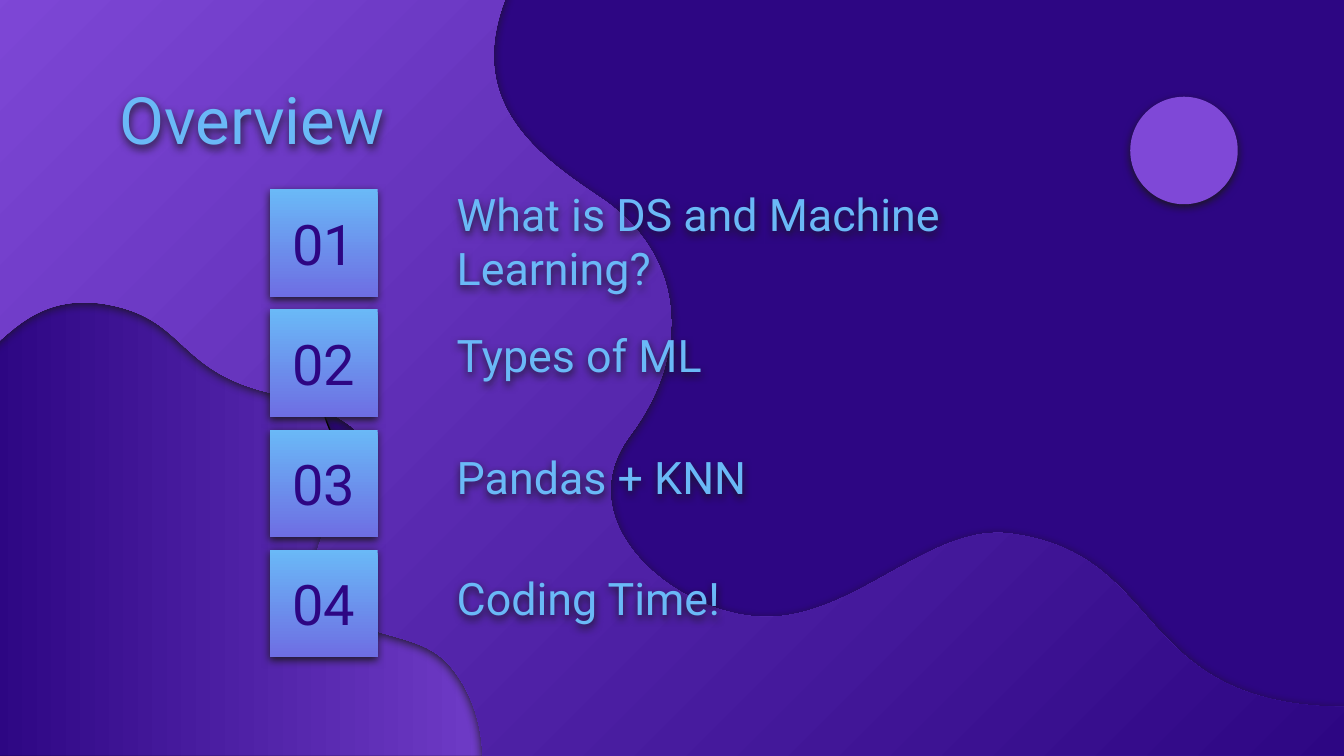
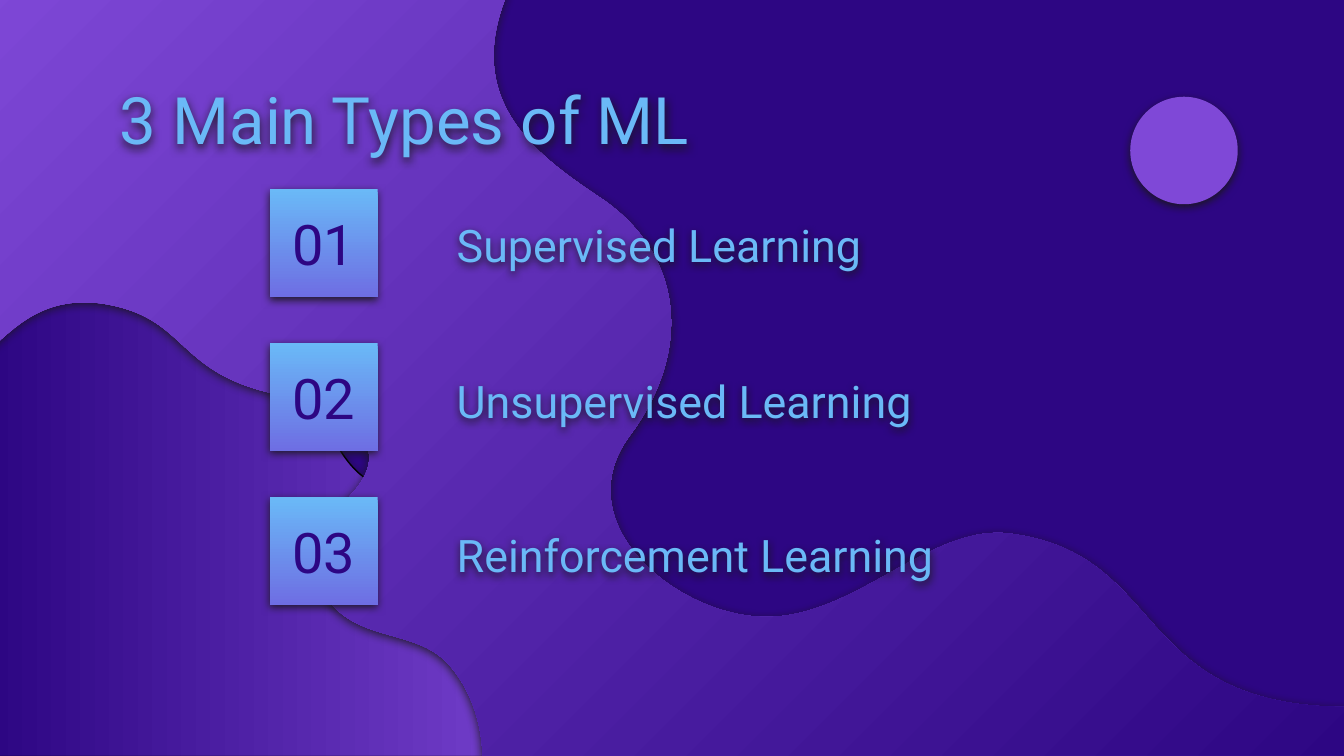
from dataclasses import dataclass

from lxml.etree import SubElement
from pptx import Presentation
from pptx.dml.color import RGBColor
from pptx.enum.shapes import MSO_SHAPE
from pptx.enum.text import MSO_ANCHOR, MSO_AUTO_SIZE, PP_ALIGN
from pptx.oxml.ns import qn
from pptx.util import Inches, Pt


# Colours, type sizes and effects
@dataclass(frozen=True)
class Theme:
    night: str = "2D0683"
    violet: str = "7F48D7"
    sky: str = "6AB9F7"
    iris: str = "6E6EE3"
    shadow: str = "191919"
    outline: str = "000000"
    font: str = "Roboto"
    title_size: int = 35
    number_size: int = 30
    label_size: int = 24
    shadow_blur: float = 4.5
    shadow_distance: float = 1.5


# The grid has 1000 columns across the slide; rows are as tall as columns are wide
COLUMNS = 1000
PADDING = 10
TITLE_BOX = (79, 49, 843, 63)
CIRCLE_BOX = (841, 72, 80, 80)
NUMBER_LEFT, NUMBER_SIDE, FIRST_TOP = 201, 80, 141
LABEL_LEFT, LABEL_WIDTH, LABEL_HEIGHT = 330, 470, 43

# Wave outlines: two values make a line, six make a Bézier curve
LEFT_WAVE = [
    (-5, 0), (-5, 563), (447, 563), (447, 293),
    (446, 293, 445, 293, 444, 293), (443, 293, 442, 293, 441, 293),
    (431, 293, 421, 290, 412, 284), (406, 281, 400, 277, 395, 272),
    (389, 268, 383, 263, 377, 262), (376, 262, 375, 262, 373, 262),
    (361, 262, 349, 277, 340, 292), (331, 309, 322, 328, 312, 343),
    (307, 350, 302, 356, 296, 359), (293, 360, 290, 361, 287, 361),
    (284, 361, 281, 360, 277, 359), (259, 350, 243, 324, 237, 291),
    (233, 274, 232, 254, 234, 236), (236, 217, 241, 199, 244, 181),
    (248, 163, 250, 143, 245, 126), (240, 110, 232, 100, 225, 90),
    (218, 78, 211, 65, 208, 48), (205, 32, 206, 16, 207, 0),
]
MAIN_WAVE = [
    (751, 397),
    (693, 390, 639, 457, 573, 459), (507, 461, 420, 391, 468, 325),
    (517, 260, 508, 187, 445, 146), (394, 112, 345, 72, 378, -6),
    (-25, -6), (-25, -6, -25, 131, -25, 271), (-25, 268),
    (-2, 268, 15, 217, 77, 226), (139, 236, 130, 275, 200, 292),
    (269, 309, 291, 334, 263, 366), (234, 398, 223, 428, 250, 453),
    (276, 478, 315, 469, 337, 498), (360, 527, 359, 562, 359, 563),
    (652, 562, 1005, 562, 1005, 562), (1005, 526),
    (840, 527, 871, 412, 751, 397),
]

# Slide wording, each item with the top row of its label
OVERVIEW = [
    ("What is DS and Machine Learning?", 186),
    ("Types of ML", 251),
    ("Pandas + KNN", 342),
    ("Coding Time!", 432),
]
LEARNING_TYPES = [
    ("Supervised Learning", 169),
    ("Unsupervised Learning", 285),
    ("Reinforcement Learning", 400),
]


class Deck:
    def __init__(self, theme):
        self.theme = theme
        self.presentation = Presentation()
        self.presentation.slide_width = Inches(10)
        self.presentation.slide_height = Inches(5.625)
        self.unit = self.presentation.slide_width // COLUMNS
        self.layout = self.presentation.slide_layouts.get_by_name("Title Only")
        self.slide = None

    # Style helpers
    def place(self, box):
        return [round(value * self.unit) for value in box]

    def paint(self, shape, *colours, angle=0):
        fill = shape.fill
        if len(colours) == 1:
            fill.solid()
            fill.fore_color.rgb = RGBColor.from_string(colours[0])
        else:
            fill.gradient()
            fill.gradient_angle = 360 - angle
            for stop, colour in zip(fill.gradient_stops, colours):
                stop.color.rgb = RGBColor.from_string(colour)
        shape.line.fill.background()

    def cast_shadow(self, shape):
        shape.shadow.inherit = False
        effects = shape.element.spPr.find(qn("a:effectLst"))
        shadow = SubElement(
            effects, qn("a:outerShdw"),
            blurRad=str(Pt(self.theme.shadow_blur)),
            dist=str(Pt(self.theme.shadow_distance)),
            dir="5400000", algn="bl", rotWithShape="0")
        colour = SubElement(shadow, qn("a:srgbClr"), val=self.theme.shadow)
        SubElement(colour, qn("a:alpha"), val="90000")

    def set_text(self, shape, text, size, colour, anchor, alignment=PP_ALIGN.LEFT):
        frame = shape.text_frame
        frame.text = text
        frame.word_wrap = True
        frame.auto_size = MSO_AUTO_SIZE.NONE
        frame.vertical_anchor = anchor
        frame.margin_left = frame.margin_right = PADDING * self.unit
        frame.margin_top = frame.margin_bottom = PADDING * self.unit
        paragraph = frame.paragraphs[0]
        paragraph.alignment = alignment
        font = paragraph.runs[0].font
        font.name = self.theme.font
        font.size = Pt(size)
        font.color.rgb = RGBColor.from_string(colour)

    # Shared background, kept on the layout
    def wave(self, outline, angle, outlined=False):
        start, *segments = outline
        builder = self.slide.shapes.build_freeform(*start, scale=self.unit)
        for segment in segments:
            builder.add_line_segments(list(zip(segment[::2], segment[1::2])), close=False)
        builder.add_line_segments([], close=True)
        shape = builder.convert_to_shape()
        vertices = iter(list(shape.element.iter(qn("a:lnTo"))))
        for segment in segments:
            first = next(vertices)
            if len(segment) == 6:
                first.tag = qn("a:cubicBezTo")
                for _ in range(2):
                    control = next(vertices)
                    first.append(control[0])
                    control.getparent().remove(control)
        self.paint(shape, self.theme.violet, self.theme.night, angle=angle)
        if outlined:
            shape.line.color.rgb = RGBColor.from_string(self.theme.outline)
            shape.line.width = Pt(0.75)
        self.cast_shadow(shape)
        layout_shapes = self.layout.shapes.element
        shape.element.nvSpPr.cNvPr.set("id", str(100 + len(layout_shapes)))
        layout_shapes.append(shape.element)

    def backdrop(self):
        fill = self.layout.background.fill
        fill.solid()
        fill.fore_color.rgb = RGBColor.from_string(self.theme.night)
        self.wave(LEFT_WAVE, 180, outlined=True)
        self.wave(MAIN_WAVE, 45)

    # Slide elements
    def start_slide(self, title):
        first = self.slide is None
        self.slide = self.presentation.slides.add_slide(self.layout)
        if first:
            self.backdrop()
        shape = self.slide.shapes.title
        shape.left, shape.top, shape.width, shape.height = self.place(TITLE_BOX)
        self.set_text(shape, title, self.theme.title_size, self.theme.sky, MSO_ANCHOR.TOP)
        self.cast_shadow(shape)

    def circle(self):
        shape = self.slide.shapes.add_shape(MSO_SHAPE.OVAL, *self.place(CIRCLE_BOX))
        self.paint(shape, self.theme.violet)
        self.cast_shadow(shape)

    def label(self, text, top):
        box = (LABEL_LEFT, top, LABEL_WIDTH, LABEL_HEIGHT)
        shape = self.slide.shapes.add_textbox(*self.place(box))
        self.set_text(shape, text, self.theme.label_size, self.theme.sky, MSO_ANCHOR.BOTTOM)
        self.cast_shadow(shape)

    def number(self, value, top):
        box = (NUMBER_LEFT, top, NUMBER_SIDE, NUMBER_SIDE)
        shape = self.slide.shapes.add_shape(MSO_SHAPE.RECTANGLE, *self.place(box))
        self.paint(shape, self.theme.sky, self.theme.iris, angle=90)
        self.cast_shadow(shape)
        self.set_text(shape, f"{value:02}", self.theme.number_size, self.theme.night,
                      MSO_ANCHOR.MIDDLE, PP_ALIGN.CENTER)

    def numbered_list(self, title, items, last_top):
        self.start_slide(title)
        self.circle()
        step = (last_top - FIRST_TOP) / (len(items) - 1)
        for index, (text, label_top) in enumerate(items):
            self.label(text, label_top)
            self.number(index + 1, FIRST_TOP + index * step)


def main():
    deck = Deck(Theme())
    deck.numbered_list("Overview", OVERVIEW, last_top=409)
    deck.numbered_list("3 Main Types of ML", LEARNING_TYPES, last_top=370)
    deck.presentation.save("out.pptx")


if __name__ == "__main__":
    main()
